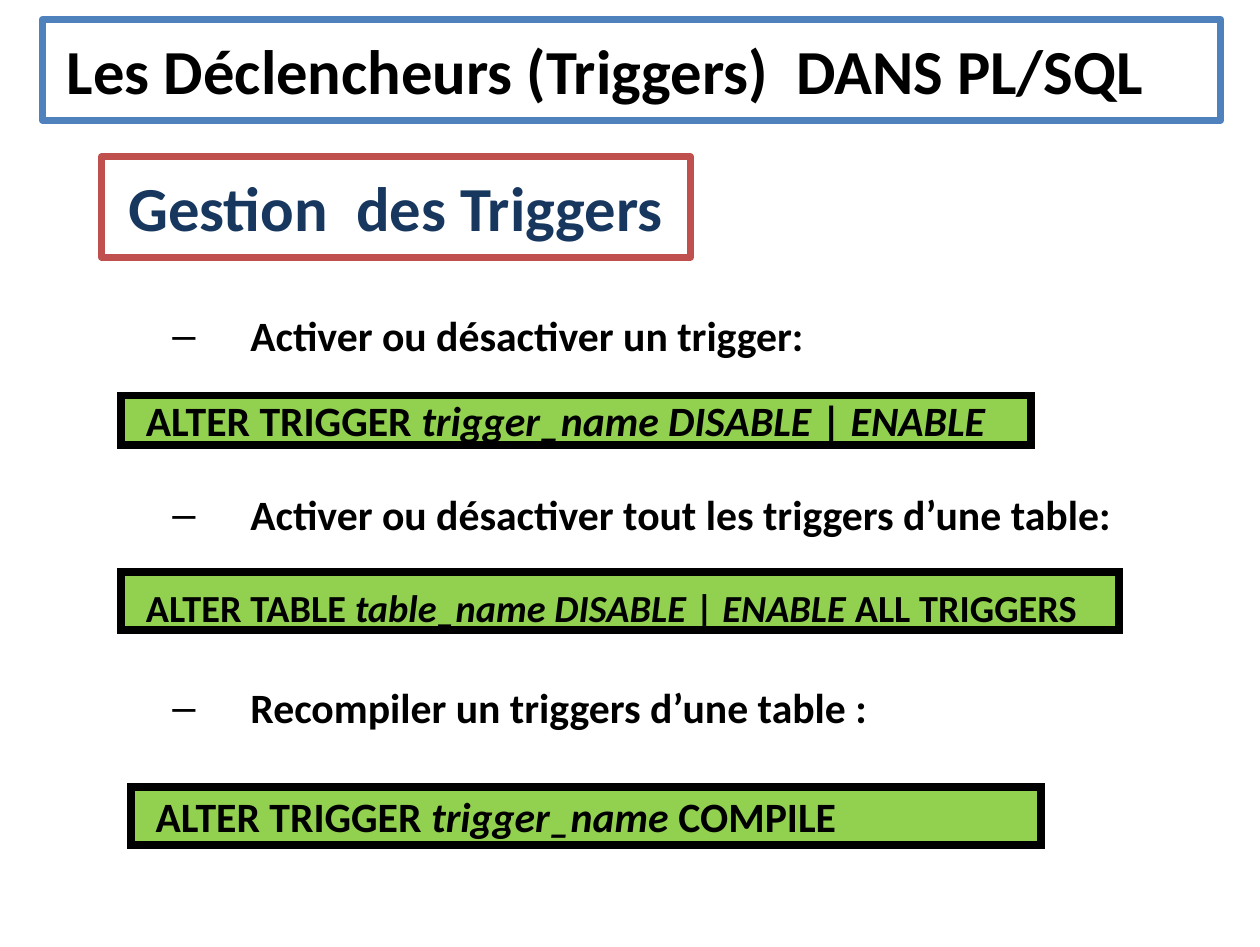
from lxml import etree
from pptx import Presentation
from pptx.dml.color import RGBColor
from pptx.enum.shapes import MSO_SHAPE
from pptx.enum.text import MSO_ANCHOR, PP_ALIGN
from pptx.oxml.ns import qn
from pptx.util import Cm, Inches, Pt

RECTANGLE = MSO_SHAPE.RECTANGLE
TOP, MIDDLE = MSO_ANCHOR.TOP, MSO_ANCHOR.MIDDLE
LEFT, CENTER = PP_ALIGN.LEFT, PP_ALIGN.CENTER
BLACK, WHITE, GREEN = "000000", "FFFFFF", "92D050"
BLUE, RED, NAVY = "4F81BD", "C0504D", "17375E"

TOPICS = [
    ("Activer ou désactiver un trigger:", (0.23, 3.02, 8.33, 0.76),
     [("ALTER TRIGGER ", False), ("trigger_name DISABLE", True),
      (" | ", False), ("ENABLE", True)],
     (1.23, 4.01, 9.23, 0.5), 12, MIDDLE),
    ("Activer ou désactiver tout les triggers d’une table:",
     (0.23, 4.83, 11.51, 0.76),
     [("ALTER TABLE ", False), ("table_name DISABLE ", True), ("| ", False),
      ("ENABLE ", True), ("ALL TRIGGERS", False)],
     (1.23, 5.8, 10.12, 0.59), 11, TOP),
    ("Recompiler un triggers d’une table :", (0.23, 6.79, 9.53, 0.76),
     [("ALTER TRIGGER ", False), ("trigger_name ", True), ("COMPILE", False)],
     (1.33, 7.98, 9.23, 0.59), 12, MIDDLE),
]


def rgb(value):
    """Return the colour for a hex string."""
    return RGBColor.from_string(value)


def write(paragraph, pieces, size, color=BLACK):
    """Add bold runs from (text, italic) pairs."""
    for text, italic in pieces:
        run = paragraph.add_run()
        run.text = text
        run.font.name = "Calibri"
        run.font.size = Pt(size)
        run.font.bold = True
        run.font.italic = italic
        run.font.color.rgb = rgb(color)


def add_frame(slide, box, fill, border, weight, anchor, align=LEFT, wrap=True):
    """Draw a bordered rectangle and return it."""
    frame = slide.shapes.add_shape(RECTANGLE, *map(Cm, box))
    frame.shadow.inherit = False
    frame.fill.solid()
    frame.fill.fore_color.rgb = rgb(fill)
    frame.line.color.rgb = rgb(border)
    frame.line.width = Pt(weight)
    frame.text_frame.word_wrap = wrap
    frame.text_frame.vertical_anchor = anchor
    frame.text_frame.paragraphs[0].alignment = align
    return frame


def add_heading(slide, box, text, border, color, align, wrap):
    """Place a framed heading in the given box."""
    heading = add_frame(slide, box, WHITE, border, 2, TOP, align, wrap)
    write(heading.text_frame.paragraphs[0], [(text, False)], 18, color)


def add_statement(slide, box, pieces, size, anchor):
    """Place a SQL statement in a green frame with sharp corners."""
    statement = add_frame(slide, box, GREEN, BLACK, 2.25, anchor)
    outline = statement.line.fill._xPr
    etree.SubElement(outline, qn("a:miter"), lim="800000")
    write(statement.text_frame.paragraphs[0], pieces, size)


def add_topic(slide, box, text):
    """Place a dashed topic line in the given box."""
    topic = slide.shapes.add_textbox(*map(Cm, box))
    topic.text_frame.word_wrap = True
    paragraph = topic.text_frame.paragraphs[0]
    paragraph.level = 1
    properties = paragraph._p.get_or_add_pPr()
    properties.set("marL", str(Cm(2.06)))
    properties.set("indent", str(Cm(-0.79)))
    etree.SubElement(properties, qn("a:buFont"), typeface="Arial")
    etree.SubElement(properties, qn("a:buChar"), char="–")
    write(paragraph, [(text, False)], 12)


def main():
    """Build the slide on trigger management."""
    deck = Presentation()
    deck.slide_width = Inches(5.03)
    deck.slide_height = Inches(3.78)
    slide = deck.slides.add_slide(deck.slide_layouts[6])
    add_heading(slide, (0.43, 0.2, 11.95, 1.02),
                "Les Déclencheurs (Triggers)  DANS PL/SQL", BLUE, BLACK, LEFT, True)
    add_heading(slide, (1.03, 1.59, 5.97, 1.02),
                "Gestion  des Triggers", RED, NAVY, CENTER, False)
    for topic, topic_box, pieces, box, size, anchor in TOPICS:
        add_topic(slide, topic_box, topic)
        add_statement(slide, box, pieces, size, anchor)
    deck.save("out.pptx")


if __name__ == "__main__":
    main()
